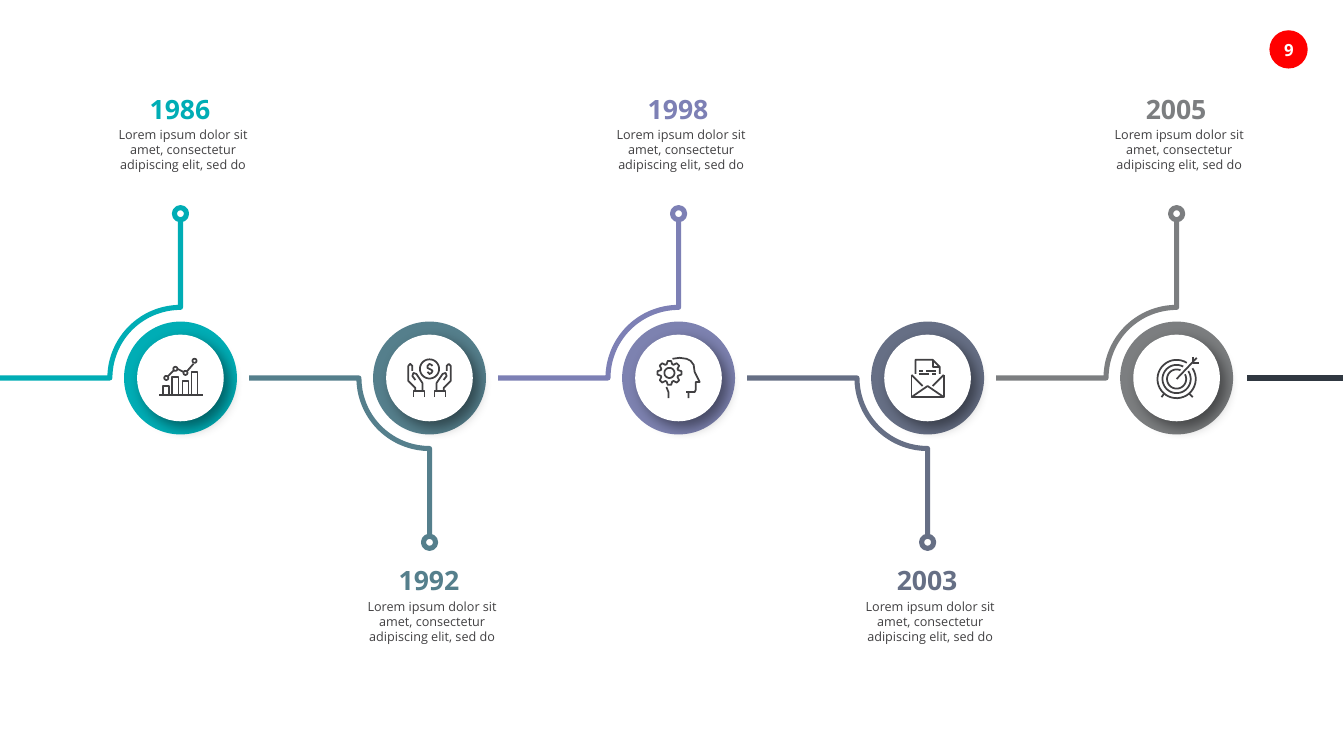
"""Build a five-step timeline slide with icons, years and captions."""
from math import cos, radians, sin

from lxml.etree import SubElement
from pptx import Presentation
from pptx.dml.color import RGBColor
from pptx.enum.shapes import MSO_CONNECTOR as Connector, MSO_SHAPE as Preset
from pptx.enum.text import MSO_AUTO_SIZE as AutoSize, PP_ALIGN as Align
from pptx.oxml.ns import qn
from pptx.util import Pt

PX = 9144
FONT = "Open Sans"
AXIS_Y = 375
FIRST_X, STEP_X = 179, 247
STEM_WIDTH, ICON_WIDTH = 3.63, 1.25
COLOURS = {
    "teal": "00ADB5", "steel": "557F8C", "violet": "7D80B5", "violet_ring": "7D82B0",
    "slate": "666F85", "grey": "7C7E80", "navy": "303841", "ink": "414042",
    "white": "FFFFFF", "red": "FF0000", "black": "000000",
}
CAPTION = "Lorem ipsum dolor sit amet, consectetur adipiscing elit, sed do"


def colour(name):
    """Return the named colour."""
    return RGBColor.from_string(COLOURS[name])


def assign(target, values):
    """Set each named attribute on the target."""
    for name, value in values.items():
        setattr(target, name, value)


def arc(x, y, radius, start=0, end=360):
    """Return points along an arc, with angles in degrees clockwise from the right."""
    angles = [radians(start + (end - start) * step / 36) for step in range(37)]
    return [(x + radius * cos(angle), y + radius * sin(angle)) for angle in angles]


def gear(x, y):
    """Return the outline of an eight-toothed gear."""
    corners = [(9, -18), (12, -8), (12, 8), (9, 18)]
    points = [(x + radius * cos(radians(45 * tooth + turn)),
               y + radius * sin(radians(45 * tooth + turn)))
              for tooth in range(8) for radius, turn in corners]
    return points + points[:1]


def chart_icon():
    """Return the strokes of bars under a rising line."""
    bars = [[(left, 17), (left, top), (left + 6, top), (left + 6, 17), (left, 17)]
            for left, top in [(-17, 8), (-8, -1), (2, 3), (11, -6)]]
    nodes = [arc(x, y, 2) for x, y in [(-14, 0), (-5, -9), (5, -5), (14, -17)]]
    return [[(-21, 17), (22, 17)], *bars, *nodes, [(-13, -1), (-6, -8)],
            [(-3, -9), (3, -6)], [(6, -6), (13, -14)]]


def hands_icon():
    """Return the strokes of two hands around a coin."""
    hand = [(-14, 2), (-17, -2), (-16, -5), (-13, -4), (-7, 5), (-7, 13), (-14, 13),
            (-14, 10), (-21, 3), (-21, -12), (-19, -14), (-17, -12), (-17, -7)]
    cuff = [(-5, 19), (-5, 13), (-16, 13), (-16, 19)]
    pairs = [[(side * x, y) for x, y in stroke] for side in (1, -1) for stroke in (hand, cuff)]
    dollar = [(-2, -6), (-1, -5), (0, -4), (2, -5), (3, -7), (2, -8), (0, -9),
              (-2, -10), (-2, -12), (0, -14), (2, -13), (3, -12)]
    return [*pairs, arc(0, -9, 9.5), dollar, [(0, -14), (0, -15)], [(0, -3), (0, -4)]]


def head_icon():
    """Return the strokes of a head in profile with a gear."""
    profile = [(-6, -19), (1, -20), (8, -19), (12, -17), (15, -13), (16, -6), (21, 4),
               (17, 4), (17, 12), (16, 14), (14, 14), (10, 14), (10, 20)]
    return [profile, [(-10, 20), (-10, 14), (-12, 9)], gear(-9, -5), arc(-9, -5, 5),
            [(10, 14), (7, 14)]]


def letter_icon():
    """Return the strokes of a page in an open envelope."""
    return [[(16, -3), (16, 19), (-16, 19), (-16, -3)], [(16, 19), (0, 8), (-16, 19)],
            [(16, -3), (5, 8)], [(-16, -3), (-5, 8)],
            [(12, -4), (12, -11), (5, -18), (-12, -18), (-12, -4)],
            [(5, -18), (5, -11), (12, -11)], [(-5, -7), (-9, -7)], [(8, -7), (-2, -7)],
            [(-9, -4), (1, -4)], [(8, -4), (4, -4)]]


def target_icon():
    """Return the strokes of a target hit by an arrow."""
    rings = [arc(0, 1, 19, -34, 302), arc(0, 1, 14, -34, 298), arc(0, 1, 9.5, -29, 294)]
    return [*rings, [(0, 1), (20, -20)], [(16, -21), (16, -15), (22, -15)],
            [(-15, 19), (-12, 15)], [(12, 15), (16, 19)]]


def draw_strokes(shapes, strokes, centre_x, tint, width):
    """Draw strokes given around a point on the axis as one outline."""
    placed = [[(round((centre_x + x) * PX), round((AXIS_Y + y) * PX)) for x, y in stroke]
              for stroke in strokes]
    builder = shapes.build_freeform(*placed[0][0])
    for index, points in enumerate(placed):
        if index:
            builder.move_to(*points[0])
        builder.add_line_segments(points[1:], close=False)
    outline = builder.convert_to_shape()
    outline.shadow.inherit = False
    outline.fill.background()
    outline.line.color.rgb = colour(tint)
    outline.line.width = Pt(width)


def add_circle(shapes, centre_x, centre_y, size, fill=None, line=None):
    """Add a circle with either a fill or an outline."""
    left, top = centre_x - size // 2, centre_y - size // 2
    circle = shapes.add_shape(Preset.OVAL, left * PX, top * PX, size * PX, size * PX)
    circle.shadow.inherit = False
    if fill:
        circle.fill.solid()
        circle.fill.fore_color.rgb = colour(fill)
        circle.line.fill.background()
    else:
        circle.fill.background()
        circle.line.color.rgb = colour(line)
        circle.line.width = Pt(STEM_WIDTH)
    return circle


def add_shadow(shape):
    """Give the shape a soft shadow towards the lower right."""
    effects = shape._element.spPr.find(qn("a:effectLst"))
    shadow = SubElement(effects, qn("a:outerShdw"), blurRad=str(Pt(10)), dist=str(Pt(6)),
                        dir="2700000", algn="tl", rotWithShape="0")
    tint = SubElement(shadow, qn("a:srgbClr"), val=COLOURS["black"])
    SubElement(tint, qn("a:alpha"), val="43000")


def add_text(shapes, text, bounds, size, tint, bold=False, frame_format=None):
    """Add a centred text box."""
    box = shapes.add_textbox(*(length * PX for length in bounds))
    frame = box.text_frame
    assign(frame, {"auto_size": AutoSize.SHAPE_TO_FIT_TEXT, "word_wrap": False,
                   **(frame_format or {})})
    para = frame.paragraphs[0]
    para.alignment = Align.CENTER
    span = para.add_run()
    span.text = text
    assign(span.font, {"name": FONT, "size": Pt(size), "bold": bold})
    span.font.color.rgb = colour(tint)


def add_axis_end(shapes):
    """Add the line that closes the axis at the right edge."""
    line = shapes.add_connector(Connector.STRAIGHT, 1237 * PX, AXIS_Y * PX,
                                1332 * PX, AXIS_Y * PX)
    line.line.color.rgb = colour("navy")
    line.line.width = Pt(STEM_WIDTH)
    SubElement(line._element.spPr, qn("a:effectLst"))


def add_milestone(shapes, centre_x, side, year, tint, ring_tint, icon):
    """Add one step, with its text above (side -1) or below (side 1) the axis."""
    branch = shapes.add_group_shape().shapes
    stem = [(-179, 0), *arc(0, 0, 70, 180, 180 - 90 * side), (0, 157 * side)]
    draw_strokes(branch, [stem], centre_x, tint, STEM_WIDTH)
    add_circle(branch, centre_x, AXIS_Y + 163 * side, 12, line=tint)

    badge = shapes.add_group_shape().shapes
    add_circle(badge, centre_x, AXIS_Y, 112, fill=ring_tint)
    add_shadow(add_circle(badge, centre_x, AXIS_Y, 86, fill="white"))
    draw_strokes(shapes, icon, centre_x, "ink", ICON_WIDTH)

    year_top, caption_top = (92, 121) if side < 0 else (559, 589)
    no_margins = dict.fromkeys(["margin_left", "margin_top", "margin_right", "margin_bottom"], 0)
    add_text(shapes, year, (centre_x - 31, year_top, 61, 32), 19, tint, True, no_margins)
    add_text(shapes, CAPTION, (centre_x - 82, caption_top, 169, 56), 9, "ink",
             frame_format={"word_wrap": True})


def main():
    """Build and save the slide."""
    deck = Presentation()
    assign(deck, {"slide_width": 1333 * PX, "slide_height": 750 * PX})
    page = deck.slides.add_slide(deck.slide_layouts[6])
    add_circle(page.shapes, 1278, 49, 38, fill="red")
    add_text(page.shapes, "9", (1257, 35, 43, 30), 12, "white", True)
    add_axis_end(page.shapes)
    milestones = [
        ("1986", "teal", "teal", chart_icon()),
        ("1992", "steel", "steel", hands_icon()),
        ("1998", "violet", "violet_ring", head_icon()),
        ("2003", "slate", "slate", letter_icon()),
        ("2005", "grey", "grey", target_icon()),
    ]
    for index, milestone in enumerate(milestones):
        side = 1 if index % 2 else -1
        add_milestone(page.shapes, FIRST_X + STEP_X * index, side, *milestone)
    deck.save("out.pptx")


if __name__ == "__main__":
    main()
